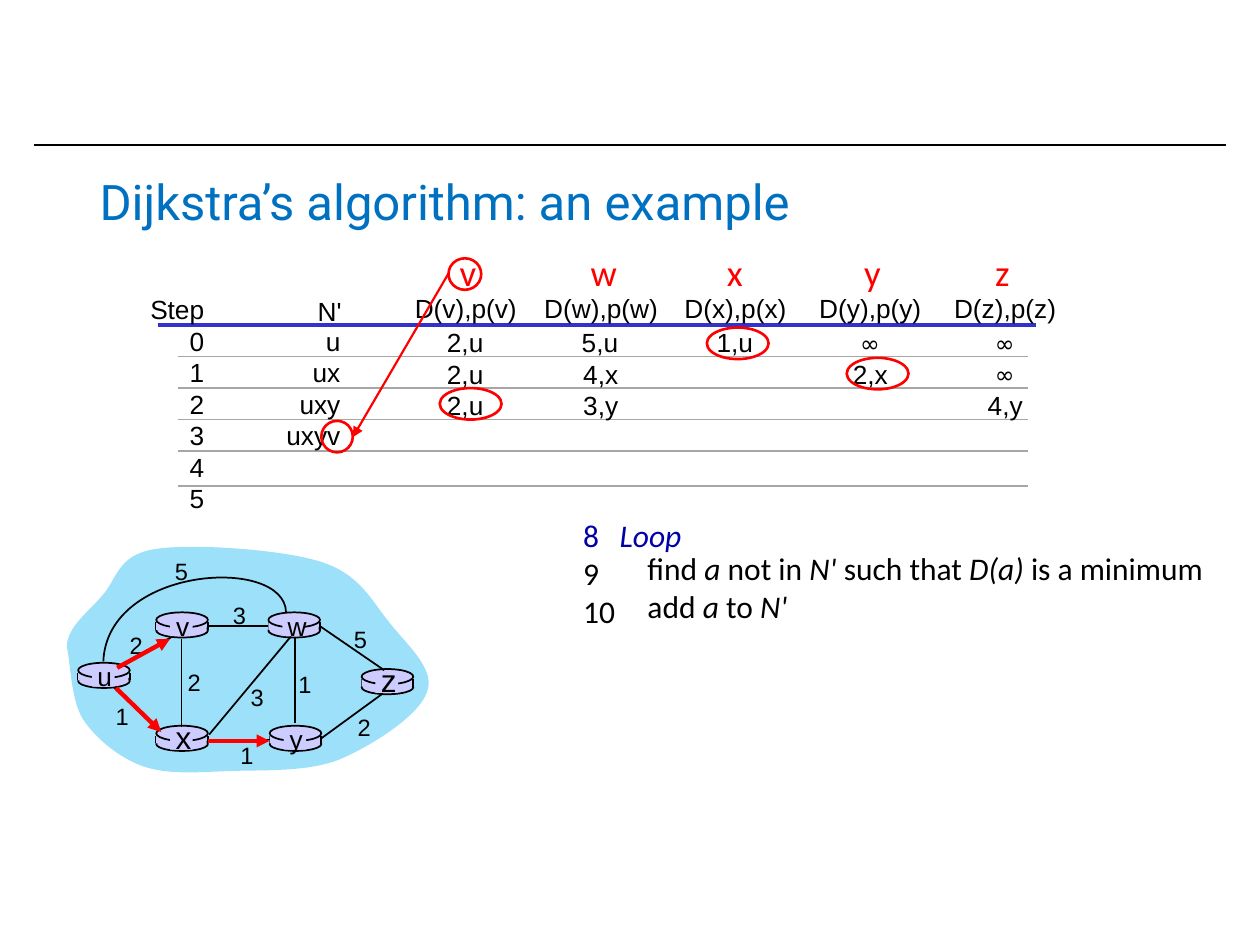
from dataclasses import dataclass

from pptx import Presentation
from pptx.dml.color import RGBColor
from pptx.enum.shapes import MSO_CONNECTOR, MSO_SHAPE
from pptx.enum.text import MSO_ANCHOR, MSO_AUTO_SIZE, PP_ALIGN
from pptx.oxml.ns import qn
from pptx.util import Inches, Pt
from lxml.etree import SubElement


@dataclass(frozen=True)
class Style:
    """Font, size and colour of a text run."""
    font: str
    size: float
    color: str


@dataclass(frozen=True)
class Theme:
    """Colours and type styles of the slide."""
    black: str = "000000"
    red: str = "FF0000"
    rule: str = "A6A6A6"
    header_rule: str = "3333CC"
    cloud: str = "9CE0FA"
    router: str = "CCCCFF"
    title: Style = Style("Roboto", 28, "0070C0")
    cell: Style = Style("Arial", 15, "000000")
    infinity: Style = Style("Comic Neue", 13.5, "000000")
    cost: Style = Style("Arial", 13.5, "000000")
    big_node: Style = Style("Arial", 18, "000000")
    heading: Style = Style("Calibri", 21, "FF0000")
    code: Style = Style("Calibri", 18, "000000")
    loop: Style = Style("Calibri", 18, "0000A8")


THEME = Theme()
CENTER, LEFT, RIGHT = PP_ALIGN.CENTER, PP_ALIGN.LEFT, PP_ALIGN.RIGHT

COLUMNS = [
    ("v", 3.55, 1.02, ["2,u", "2,u", "2,u"]),
    ("w", 4.59, 1.12, ["5,u", "4,x", "3,y"]),
    ("x", 5.67, 1.02, ["1,u"]),
    ("y", 6.76, 1.02, ["∞", "2,x"]),
    ("z", 7.8, 1.02, ["∞", "∞", "4,y"]),
]
ROUTERS = [
    ("u", 0.62, 5.26, THEME.cell),
    ("x", 1.24, 5.76, THEME.big_node),
    ("v", 1.24, 4.86, THEME.cell),
    ("w", 2.13, 4.86, THEME.cell),
    ("y", 2.14, 5.76, THEME.cell),
    ("z", 2.87, 5.31, THEME.big_node),
]
EDGES = [
    (0.97, 5.27, 1.41, 5.03), (2.34, 5.06, 2.34, 5.74), (1.44, 5.07, 1.44, 5.77),
    (1.66, 5.83, 2.31, 5.05), (2.55, 5.86, 3.03, 5.51), (2.14, 5.87, 1.67, 5.87),
    (1.26, 5.8, 0.9, 5.45), (2.13, 4.97, 1.66, 4.97), (3.05, 5.32, 2.54, 4.97),
]
COSTS = [
    ("2", 1.08, 4.96), ("2", 1.54, 5.25), ("1", 0.97, 5.52), ("3", 2.04, 5.37),
    ("1", 1.96, 5.83), ("1", 2.42, 5.27), ("2", 2.89, 5.61), ("5", 2.86, 4.91),
    ("3", 1.9, 4.72), ("5", 1.44, 4.37),
]
CLOUD = [
    (0.53, 5.13), (0.54, 4.97), (0.7, 4.86), (0.81, 4.73), (0.93, 4.6), (0.93, 4.41),
    (1.22, 4.36), (1.51, 4.31), (2.24, 4.36), (2.55, 4.46), (2.86, 4.56), (2.95, 4.77),
    (3.09, 4.94), (3.23, 5.12), (3.46, 5.31), (3.39, 5.49), (3.33, 5.68), (2.95, 5.92),
    (2.69, 6.03), (2.43, 6.13), (2.08, 6.11), (1.82, 6.12), (1.56, 6.13), (1.33, 6.15),
    (1.13, 6.08), (0.94, 6.01), (0.76, 5.86), (0.66, 5.71), (0.56, 5.55), (0.56, 5.25),
    (0.53, 5.13),
]
OUTER_EDGE = [(2.27, 4.86), (2.26, 4.41), (0.85, 4.49), (0.82, 5.25)]
TREE_ARROWS = [(0.92, 5.46, 1.28, 5.81), (1.65, 5.88, 2.14, 5.88), (0.93, 5.3, 1.35, 5.07)]
CHOICES = [(5.61, 2.6, 0.49), (6.72, 2.84, 0.49), (3.49, 3.08, 0.49),
           (3.56, 2.05, 0.26), (2.55, 3.34, 0.25)]


def add_span(para, text, style, italic=False):
    """Append one styled run to a paragraph."""
    span = para.add_run()
    span.text = text
    span.font.name, span.font.size = style.font, Pt(style.size)
    span.font.color.rgb = RGBColor.from_string(style.color)
    span.font.italic = italic


def add_text(page, left, top, width, lines, align=LEFT, tab=None):
    """Add a text box; each line is a list of (text, style[, italic]) spans."""
    leading = 1.2 * lines[0][0][1].size
    height = 0.1 + len(lines) * leading / 72
    box = page.shapes.add_textbox(Inches(left), Inches(top), Inches(width), Inches(height))
    frame = box.text_frame
    frame.word_wrap = False
    for index, spans in enumerate(lines):
        para = frame.paragraphs[0] if index == 0 else frame.add_paragraph()
        if tab:
            stops = SubElement(para._p.get_or_add_pPr(), qn("a:tabLst"))
            SubElement(stops, qn("a:tab"), pos=str(Inches(tab)), algn="l")
        para.alignment, para.line_spacing = align, Pt(leading)
        for span in spans:
            add_span(para, *span)


def add_label(page, center, top, text, style, width=0.31, align=CENTER):
    """Add a one-line label in a box centred on a horizontal position."""
    add_text(page, center - width / 2, top, width, [[(text, style)]], align)


def add_line(page, ends, color=THEME.black, weight=1, arrow=False):
    """Add a straight connector, with an arrowhead at its end if asked."""
    line = page.shapes.add_connector(MSO_CONNECTOR.STRAIGHT, *map(Inches, ends))
    line.line.color.rgb = RGBColor.from_string(color)
    line.line.width = Pt(weight)
    if arrow:
        SubElement(line.line._get_or_add_ln(), qn("a:tailEnd"), type="triangle")
    SubElement(line._element.spPr, qn("a:effectLst"))


def paint(shape, fill=None, line=None, weight=1):
    """Set fill and outline of a shape and drop its shadow."""
    shape.shadow.inherit = False
    if fill:
        shape.fill.solid()
        shape.fill.fore_color.rgb = RGBColor.from_string(fill)
    else:
        shape.fill.background()
    if line:
        shape.line.color.rgb = RGBColor.from_string(line)
        shape.line.width = Pt(weight)
    else:
        shape.line.fill.background()


def add_preset(page, kind, area, **look):
    """Add a painted preset shape."""
    paint(page.shapes.add_shape(kind, *map(Inches, area)), **look)


def add_curve(page, knots, closed=False, **look):
    """Draw a chain of cubic Bezier curves as a freeform."""
    points = [(Inches(x), Inches(y)) for x, y in knots]
    builder = page.shapes.build_freeform(*points[0])
    builder.add_line_segments(points[1:], close=closed)
    shape = builder.convert_to_shape()
    segments = list(shape._element.iter(qn("a:lnTo")))
    for first in range(0, len(knots) - 1, 3):
        start, *rest = segments[first:first + 3]
        start.tag = qn("a:cubicBezTo")
        for segment in rest:
            start.append(segment[0])
            segment.getparent().remove(segment)
    paint(shape, **look)


def add_router(page, left, top):
    """Draw a router as a flat cylinder."""
    look = {"fill": THEME.router, "line": THEME.black}
    add_preset(page, MSO_SHAPE.OVAL, (left, top + 0.09, 0.41, 0.11), **look)
    for side in (left, left + 0.41):
        add_line(page, (side, top + 0.08, side, top + 0.14))
    add_preset(page, MSO_SHAPE.RECTANGLE, (left, top + 0.08, 0.4, 0.06), fill=THEME.router)
    add_preset(page, MSO_SHAPE.OVAL, (left, top, 0.41, 0.12), **look)


def add_title(page, text):
    """Fill and place the title placeholder."""
    title = page.shapes.title
    title.left, title.top, title.width, title.height = map(Inches, (0.69, 1.23, 9.17, 0.73))
    frame = title.text_frame
    frame.auto_size, frame.vertical_anchor = MSO_AUTO_SIZE.NONE, MSO_ANCHOR.MIDDLE
    frame.paragraphs[0].alignment = LEFT
    add_span(frame.paragraphs[0], text, THEME.title)


def add_steps(page):
    """Lay out the step table with its rules."""
    add_line(page, (1.25, 2.58, 8.22, 2.58), THEME.header_rule, 2.25)
    for y in (2.83, 3.08, 3.33, 3.58, 3.86):
        add_line(page, (1.41, y, 8.16, y), THEME.rule)
    steps = ["Step", *map(str, range(6))]
    add_text(page, 1.09, 2.28, 0.63, [[(step, THEME.cell)] for step in steps], RIGHT)
    add_text(page, 2.42, 2.29, 0.39, [[("N'", THEME.cell)]], RIGHT)
    for row, nodes in enumerate(["u", "ux", "uxy", "uxyv"]):
        add_text(page, 2.17, 2.53 + 0.25 * row, 0.63, [[(nodes, THEME.cell)]], RIGHT)
    for index, (node, left, width, values) in enumerate(COLUMNS):
        center = 3.69 + 1.07 * index
        add_text(page, left, 1.93, 0.34, [[(node, THEME.heading)]])
        add_label(page, center, 2.27, f"D({node}),p({node})", THEME.cell, width, RIGHT)
        for row, value in enumerate(values):
            infinite = value == "∞"
            style, drop, size = (THEME.infinity, 0.02, 0.36) if infinite else (THEME.cell, 0, 0.49)
            add_label(page, center, 2.54 + 0.25 * row + drop, value, style, size, RIGHT)


def add_network(page):
    """Draw the network graph with its link costs."""
    add_curve(page, CLOUD, closed=True, fill=THEME.cloud)
    for _, left, top, _ in ROUTERS:
        add_router(page, left, top)
    for ends in EDGES:
        add_line(page, ends)
    add_curve(page, OUTER_EDGE, line=THEME.black)
    for node, left, top, style in ROUTERS:
        area = (left + 0.11, top + 0.02, 0.18, 0.17)
        add_preset(page, MSO_SHAPE.RECTANGLE, area, fill=THEME.router)
        lift = 0.07 if style is THEME.cell else 0.11
        add_label(page, left + 0.21, top - lift, node, style)
    for cost, center, top in COSTS:
        add_label(page, center, top, cost, THEME.cost)
    for ends in TREE_ARROWS:
        add_line(page, ends, THEME.red, 2.5, arrow=True)


def add_pseudocode(page):
    """Write the numbered loop steps."""
    code = THEME.code
    numbers = [[("8\t", THEME.loop), ("Loop", THEME.loop, True)], [("9", code)], [("10", code)]]
    add_text(page, 4.53, 4.05, 1.06, numbers, tab=0.29)
    add_text(page, 5.04, 4.31, 4.72, [
        [("find ", code), ("a", code, True), (" not in ", code), ("N' ", code, True),
         ("such that ", code), ("D(a) ", code, True), ("is a minimum", code)],
        [("add ", code), ("a", code, True), (" to ", code), ("N'", code, True)],
    ])


def main():
    """Build the slide and save it."""
    deck = Presentation()
    deck.slide_width, deck.slide_height = Inches(10), Inches(7.5)
    page = deck.slides.add_slide(deck.slide_layouts[5])
    add_line(page, (0.27, 1.15, 9.73, 1.15))
    add_title(page, "Dijkstra’s algorithm: an example")
    add_steps(page)
    add_pseudocode(page)
    add_network(page)
    for left, top, width in CHOICES:
        add_preset(page, MSO_SHAPE.OVAL, (left, top, width, 0.25), line=THEME.red, weight=1.5)
    add_line(page, (3.56, 2.17, 2.8, 3.47), THEME.red, 1.25, arrow=True)
    deck.save("out.pptx")


if __name__ == "__main__":
    main()
